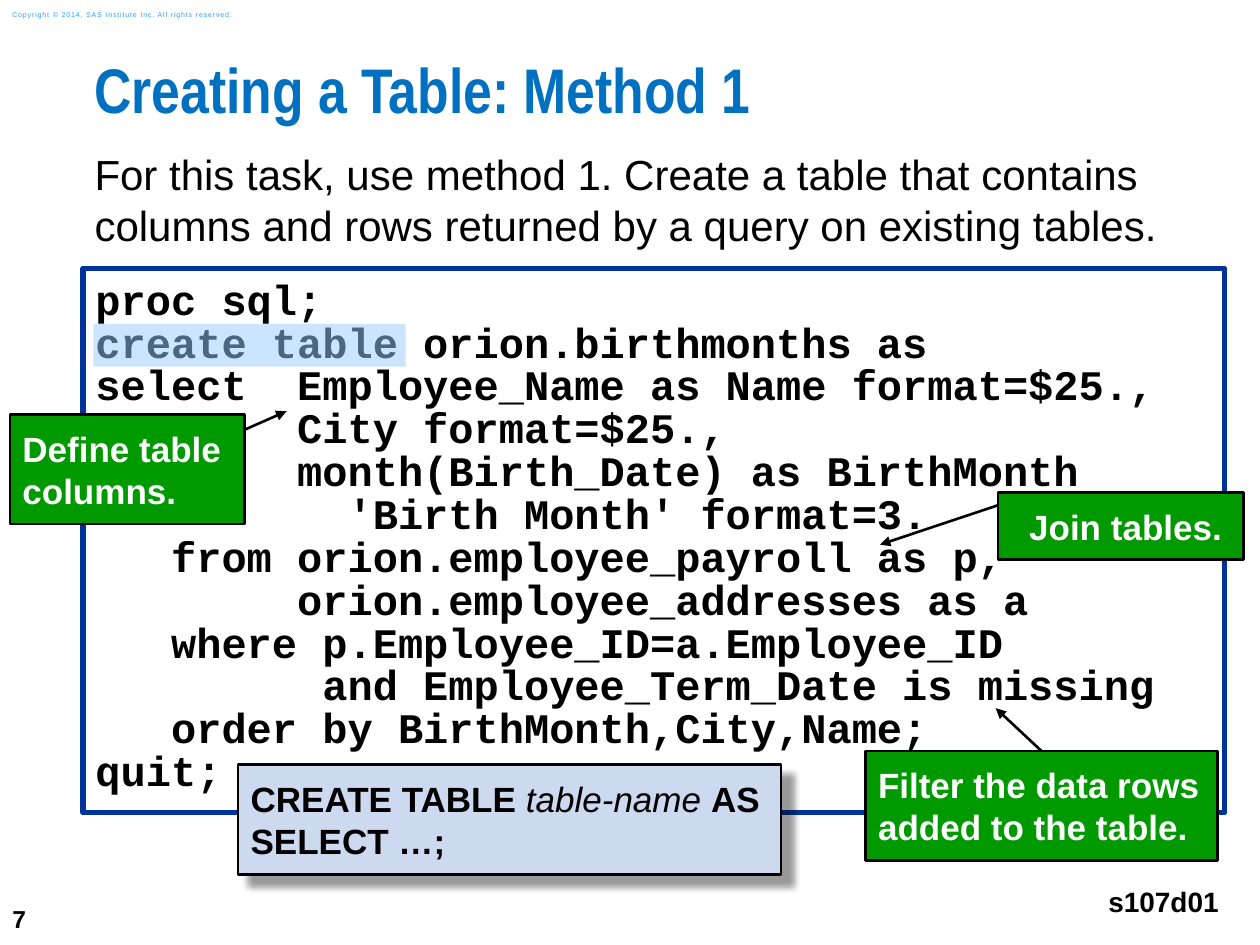
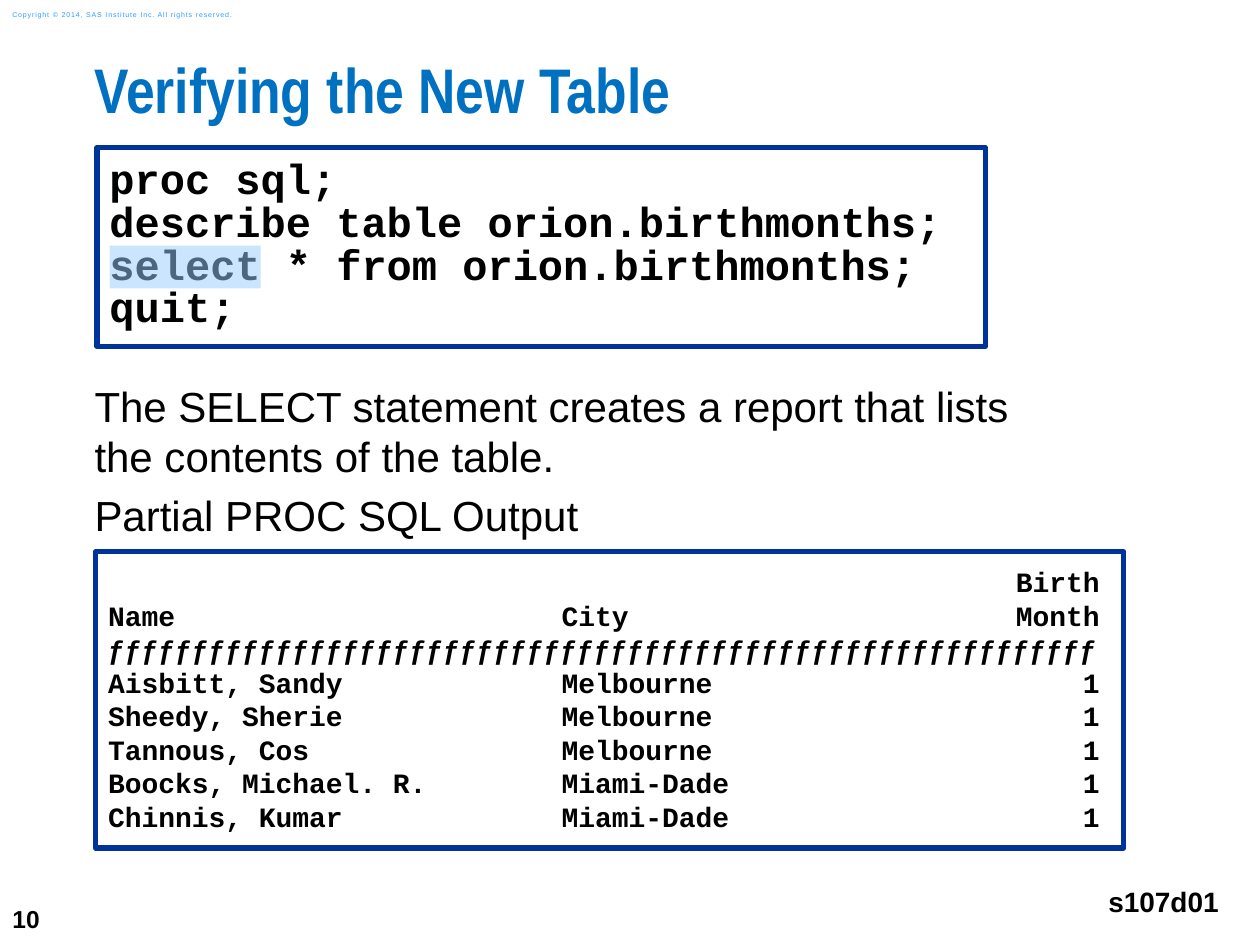
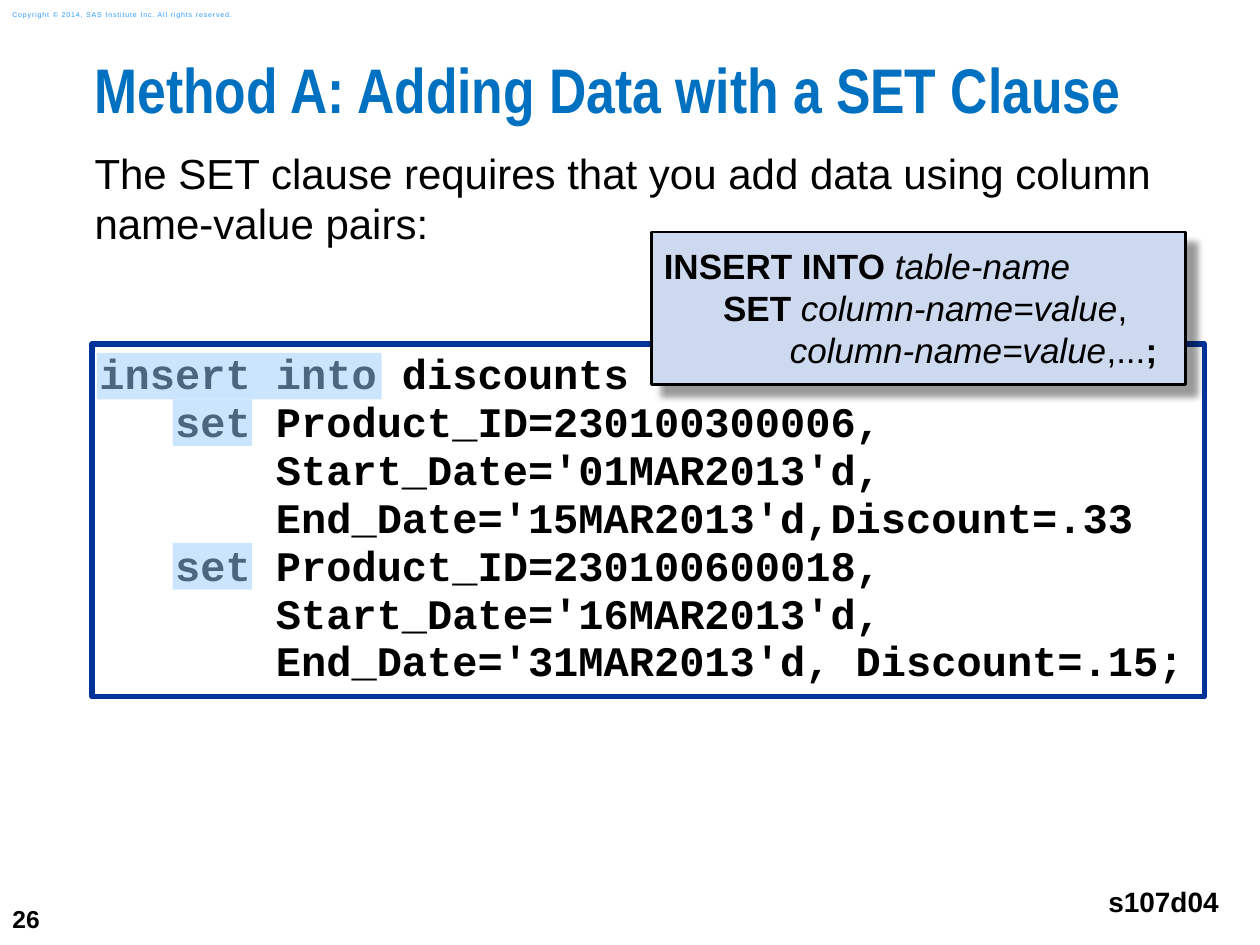
from pptx import Presentation
from pptx.util import Inches, Pt
from pptx.dml.color import RGBColor
from pptx.enum.shapes import MSO_SHAPE as Geo
from pptx.enum.text import PP_ALIGN as Align, MSO_ANCHOR as Anchor
from pptx.oxml.ns import qn
from lxml.etree import SubElement as Sub

BLACK, WHITE, BLUE, NAVY = "000000", "FFFFFF", "0070C0", "003399"
SKY, PALE, GREEN, LIGHT = "99CCFF", "CDD9EF", "009900", "2A9CFF"
SANS, SLIM, MONO = "Arial", "Arial Narrow", "Courier New"
LEGAL = "Copyright © 2014, SAS Institute Inc. All rights reserved."

CREATE = """proc sql;
create table orion.birthmonths as
select  Employee_Name as Name format=$25.,
        City format=$25.,
        month(Birth_Date) as BirthMonth
          'Birth Month' format=3.
   from orion.employee_payroll as p,
        orion.employee_addresses as a
   where p.Employee_ID=a.Employee_ID
         and Employee_Term_Date is missing
   order by BirthMonth,City,Name;
quit;"""

VERIFY = """proc sql;
describe table orion.birthmonths;
select * from orion.birthmonths;
quit;"""

INSERT = """insert into discounts
   set Product_ID=230100300006,
       Start_Date='01MAR2013'd,
       End_Date='15MAR2013'd,Discount=.33
   set Product_ID=230100600018,
       Start_Date='16MAR2013'd,
       End_Date='31MAR2013'd, Discount=.15;"""

HEADS = [("", "", "Birth"), ("Name", "City", "Month")]
ROWS = [
    ("Aisbitt, Sandy", "Melbourne", "1"),
    ("Sheedy, Sherie", "Melbourne", "1"),
    ("Tannous, Cos", "Melbourne", "1"),
    ("Boocks, Michael. R.", "Miami-Dade", "1"),
    ("Chinnis, Kumar", "Miami-Dade", "1"),
]
RULE = "ƒ" * 59
STOPS = [(3.6, "l"), (7.87, "r")]

SLIDES = [
    dict(
        page="7", tag="s107d01", title="Creating a Table: Method 1",
        body=(1.18, ["For this task, use method 1. Create a table that contains "
                     "columns and rows returned by a query on existing tables."]),
        code=((0.66, 2.13, 9.06, 4.32), CREATE, 0.85, 0.1),
        syntax=((1.89, 6.07, 4.31, 0.87), [
            (0, [("CREATE TABLE ", "b"), ("table-name ", "i"), ("AS", "b")]),
            (0, [("SELECT …;", "b")])]),
        calls=[
            ((0.08, 3.29, 1.86, 0.87), "Define table columns.",
             (0.14, 1, -0.03, 1.18), Align.LEFT),
            ((6.87, 5.96, 2.79, 0.87), "Filter the data rows added to the table.",
             (0, 0.5, -0.39, 0.37), Align.LEFT),
            ((7.92, 3.91, 1.95, 0.53), " Join tables.",
             (0.19, 0, 0.78, -0.48), Align.CENTER)],
        marks=[(0.74, 2.57, 2.48, 0.34)],
    ),
    dict(
        page="10", tag="s107d01", title="Verifying the New Table",
        body=(3.02, ["The SELECT statement creates a report that lists\v"
                     "the contents of the table.", "Partial PROC SQL Output"]),
        code=((0.77, 1.17, 7.05, 1.58), VERIFY, 0.85, 0.1),
        report=(0.76, 4.38, 8.16, 2.35),
        marks=[(0.87, 1.95, 1.2, 0.34)],
    ),
    dict(
        page="26", tag="s107d04", title="Method A: Adding Data with a SET Clause",
        body=(1.17, ["The SET clause requires that you add data using column "
                     "name-value pairs:"]),
        code=((0.73, 2.73, 8.83, 2.8), INSERT, 0.95, 0.06),
        syntax=((5.17, 1.84, 4.24, 1.21), [
            (0, [("INSERT INTO ", "b"), ("table-name", "i")]),
            (0.47, [("SET ", "b"), ("column-name=value", "i"), (",", "")]),
            (1, [("column-name=value", "i"), (",...", ""), (";", "b")])]),
        marks=[(0.77, 2.8, 2.26, 0.37), (1.37, 3.17, 0.63, 0.37),
               (1.37, 4.31, 0.63, 0.37)],
    ),
]


def color(code):
    return RGBColor.from_string(code)


def place(box):
    return [Inches(n) for n in box]


def style(font, face, size, tint, bold=False, slant=False):
    font.name, font.size = face, Pt(size)
    font.bold, font.italic = bold, slant
    font.color.rgb = color(tint)


def frame(shape, pad, anchor=Anchor.TOP):
    text = shape.text_frame
    text.word_wrap = True
    text.vertical_anchor = anchor
    side, top = pad
    text.margin_left = text.margin_right = Inches(side)
    text.margin_top = text.margin_bottom = Inches(top)
    return text


def write(shape, lines, face, size, tint=BLACK, bold=False, pad=(0.1, 0.1),
          anchor=Anchor.TOP, align=Align.LEFT, lead=None, after=0, stops=()):
    text = frame(shape, pad, anchor)
    text.text = "\n".join(lines)
    for para in text.paragraphs:
        para.alignment = align
        if lead:
            para.line_spacing = lead
        if after:
            para.space_after = Pt(after)
        if stops:
            tabs = Sub(para._p.get_or_add_pPr(), qn("a:tabLst"))
            for spot, kind in stops:
                Sub(tabs, qn("a:tab"), pos=str(Inches(spot)), algn=kind)
        for run in para.runs:
            style(run.font, face, size, tint, bold)
    return text


def label(slide, box, lines, *args, **opts):
    return write(slide.shapes.add_textbox(*place(box)), lines, *args, **opts)


def panel(slide, box, fill, edge=None, width=0, geo=Geo.RECTANGLE):
    shape = slide.shapes.add_shape(geo, *place(box))
    shape.shadow.inherit = False
    shape.fill.solid()
    shape.fill.fore_color.rgb = color(fill)
    if edge:
        shape.line.color.rgb = color(edge)
        shape.line.width = Pt(width)
    else:
        shape.line.fill.background()
    return shape


def alpha(node, share):
    Sub(node, qn("a:alpha"), val=str(share * 1000))


def mark(slide, box):
    shape = panel(slide, box, SKY)
    alpha(shape._element.spPr.find(".//" + qn("a:srgbClr")), 50)


def callout(slide, box, words, bends, align):
    shape = panel(slide, box, GREEN, BLACK, 1.5, Geo.LINE_CALLOUT_1)
    for i, bend in enumerate(bends):
        shape.adjustments[i] = bend
    Sub(shape.line._get_or_add_ln(), qn("a:tailEnd"), type="triangle")
    write(shape, [words], SANS, 20, WHITE, True, anchor=Anchor.MIDDLE, align=align)


def syntax(slide, box, lines):
    shape = panel(slide, box, PALE, BLACK, 1.5)
    glow = Sub(shape._element.spPr.find(qn("a:effectLst")), qn("a:outerShdw"),
               blurRad=str(Pt(4)), dist=str(Pt(8.5)), dir=str(45 * 60000),
               algn="tl", rotWithShape="0")
    alpha(Sub(glow, qn("a:srgbClr"), val=BLACK), 40)
    text = frame(shape, (0.1, 0.1))
    for i, (indent, runs) in enumerate(lines):
        para = text.add_paragraph() if i else text.paragraphs[0]
        para.alignment = Align.LEFT
        para._p.get_or_add_pPr().set("marL", str(Inches(indent)))
        for words, look in runs:
            run = para.add_run()
            run.text = words
            style(run.font, SANS, 20, BLACK, look == "b", look == "i")


def report(slide, box):
    shape = panel(slide, box, WHITE, NAVY, 3)
    lines = ["\t".join(row) for row in HEADS]
    lines += [RULE] + ["\t".join(row) for row in ROWS]
    write(shape, lines, MONO, 16, bold=True, stops=STOPS)


def common(slide, data):
    label(slide, (0, 7.08, 0.58, 0.42), [data["page"]], SANS, 14, bold=True,
          pad=(0.1, 0.05), anchor=Anchor.MIDDLE)
    legal = label(slide, (0, 0.03, 2.11, 0.17), [LEGAL], SANS, 4, LIGHT,
                  pad=(0.1, 0.05), anchor=Anchor.MIDDLE)
    legal.paragraphs[0].runs[0]._r.get_or_add_rPr().set("spc", "50")
    label(slide, (0.75, 0.5, 9.25, 0.74), [data["title"]], SLIM, 36, BLUE, True,
          pad=(0, 0), lead=0.83)
    top, lines = data["body"]
    label(slide, (0.75, top, 8.58, 1.08), lines, SANS, 24, pad=(0, 0), after=4.5)
    label(slide, (8.4, 6.92, 1.37, 0.47), [data["tag"]], SANS, 16, bold=True,
          align=Align.RIGHT)


def build(deck, data):
    slide = deck.slides.add_slide(deck.slide_layouts[6])
    common(slide, data)
    box, code, lead, pad = data["code"]
    write(panel(slide, box, WHITE, NAVY, 3), code.split("\n"), MONO, 24,
          bold=True, pad=(pad, pad), lead=lead)
    if "report" in data:
        report(slide, data["report"])
    if "syntax" in data:
        syntax(slide, *data["syntax"])
    for call in data.get("calls", []):
        callout(slide, *call)
    for box in data["marks"]:
        mark(slide, box)


def main():
    deck = Presentation()
    deck.slide_width, deck.slide_height = Inches(10), Inches(7.5)
    for data in SLIDES:
        build(deck, data)
    deck.save("out.pptx")


if __name__ == "__main__":
    main()
